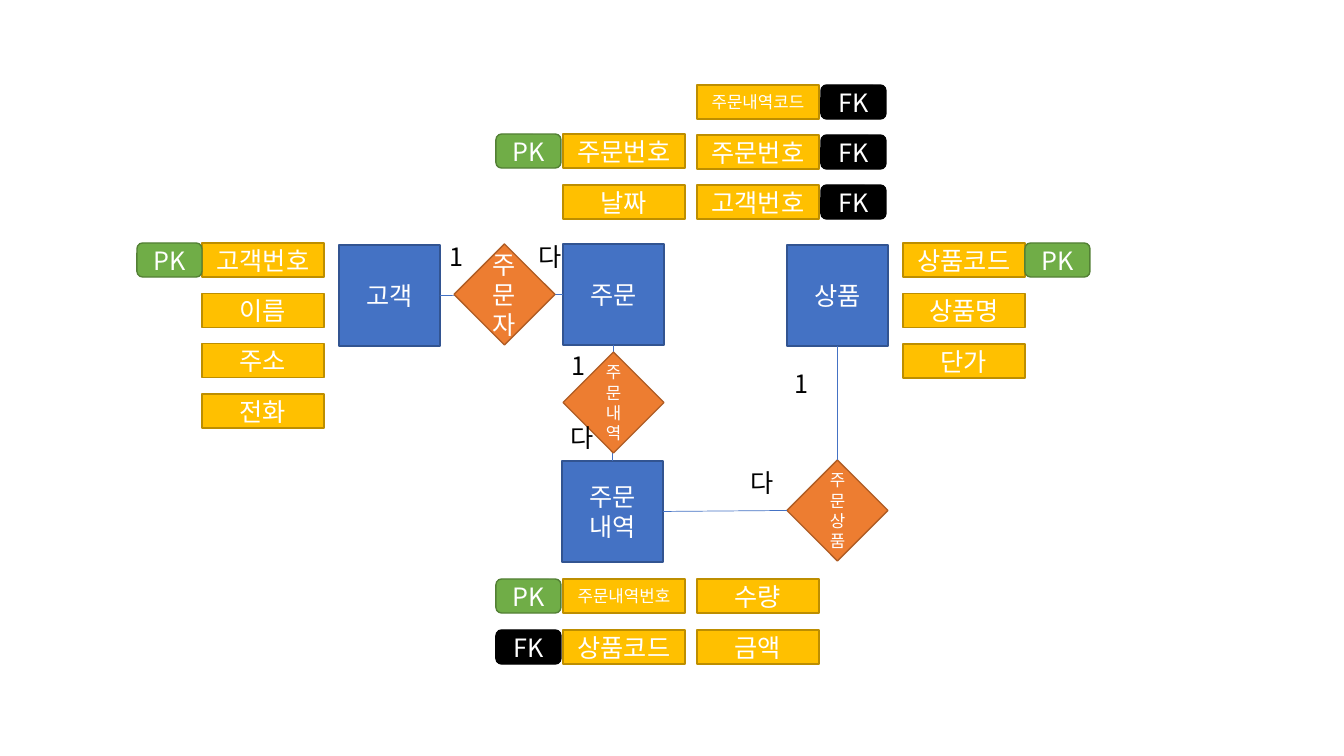
from dataclasses import dataclass

import lxml.etree
import pptx
import pptx.dml.color
import pptx.enum.shapes
import pptx.enum.text
import pptx.oxml.ns
import pptx.util

PX = 914400 / 100.8
SHAPE = pptx.enum.shapes.MSO_SHAPE
CENTER = pptx.enum.text.PP_ALIGN.CENTER
LEFT = pptx.enum.text.PP_ALIGN.LEFT
MIDDLE = pptx.enum.text.MSO_ANCHOR.MIDDLE
TOP_SITE, LEFT_SITE, BOTTOM_SITE, RIGHT_SITE = range(4)
SIDE, ROW, ATTRIBUTE_WIDTH, KEY_WIDTH = 101, 34, 122, 65


@dataclass(frozen=True)
class Theme:
    """Fonts, sizes and fill/outline colours of the diagram."""
    font: str = "Noto Sans CJK KR"
    size: int = 18
    small: int = 12
    light: str = "FFFFFF"
    dark: str = "000000"
    connector: str = "4472C4"
    entity: tuple = ("4472C4", "325491")
    relation: tuple = ("ED7D31", "AF5C24")
    attribute: tuple = ("FFC000", "BD8E00")
    PK: tuple = ("70AD47", "538035")
    FK: tuple = ("000000", "000000")


THEME = Theme()


def emu(*pixels):
    """Turn pixels into a list of EMU lengths."""
    return [pptx.util.Emu(round(value * PX)) for value in pixels]


def rgb(code):
    """Return the colour object for a hex code."""
    return pptx.dml.color.RGBColor.from_string(code)


def write(shape, text, size, color, align):
    """Put one formatted paragraph into a shape."""
    shape.text_frame.word_wrap = True
    paragraph = shape.text_frame.paragraphs[0]
    paragraph.text = text
    paragraph.alignment = align
    font = paragraph.font
    font.size = pptx.util.Pt(size)
    font.color.rgb = rgb(color)
    font.name = THEME.font
    properties = paragraph._p.pPr.find(pptx.oxml.ns.qn("a:defRPr"))
    lxml.etree.SubElement(properties, pptx.oxml.ns.qn("a:ea"), typeface=THEME.font)


def node(slide, kind, box, text, colors, size=THEME.size):
    """Draw a filled shape with centred text."""
    shape = slide.shapes.add_shape(kind, *emu(*box))
    shape.shadow.inherit = False
    shape.fill.solid()
    shape.fill.fore_color.rgb = rgb(colors[0])
    shape.line.color.rgb = rgb(colors[1])
    shape.line.width = pptx.util.Pt(1)
    shape.text_frame.vertical_anchor = MIDDLE
    write(shape, text, size, THEME.light, CENTER)
    return shape


def entity(slide, left, top, name):
    """Draw an entity square."""
    return node(slide, SHAPE.RECTANGLE, (left, top, SIDE, SIDE), name, THEME.entity)


def relation(slide, left, top, name, size=THEME.small):
    """Draw a relationship diamond."""
    return node(slide, SHAPE.DIAMOND, (left, top, SIDE, SIDE), name, THEME.relation, size)


def link(slide, start, start_site, end, end_site):
    """Join two shapes with a thin line."""
    line = slide.shapes.add_connector(pptx.enum.shapes.MSO_CONNECTOR.STRAIGHT, 0, 0, 0, 0)
    line.begin_connect(start, start_site)
    line.end_connect(end, end_site)
    line.line.color.rgb = rgb(THEME.connector)
    line.line.width = pptx.util.Pt(0.5)
    lxml.etree.SubElement(line._element.spPr, pptx.oxml.ns.qn("a:effectLst"))


def cardinality(slide, left, top, text):
    """Write a cardinality mark beside a link."""
    label = slide.shapes.add_textbox(*emu(left, top, 45, 40))
    write(label, text, THEME.size, THEME.dark, LEFT)


def attributes(slide, box, rows, key_on_left=True, key_gap=2):
    """Spread attribute rows over a box, with key badges on one side."""
    left, top, width, height = box
    pitch = (height - ROW) / (len(rows) - 1)
    key_left = left - key_gap - KEY_WIDTH if key_on_left else left + width + key_gap
    for index, (name, key) in enumerate(rows):
        y = top + index * pitch
        size = THEME.small if len(name) > 4 else THEME.size
        node(slide, SHAPE.RECTANGLE, (left, y, width, ROW), name, THEME.attribute, size)
        if key:
            node(slide, SHAPE.ROUNDED_RECTANGLE, (key_left, y, KEY_WIDTH, ROW),
                 key, getattr(THEME, key))


def relationships(slide, box):
    """Draw the entities, their relationships and cardinalities."""
    left, top, width, height = box
    right, bottom, middle = left + width - SIDE, top + height - SIDE, left + 224
    customer = entity(slide, left, top + 1, "고객")
    order = entity(slide, middle, top, "주문")
    product = entity(slide, right, top + 1, "상품")
    details = entity(slide, middle - 1, bottom, "주문 내역")
    link(slide, customer, RIGHT_SITE, order, LEFT_SITE)
    link(slide, order, BOTTOM_SITE, details, TOP_SITE)
    relation(slide, left + 115, top, "주문자", THEME.size)
    relation(slide, middle, top + 108, "주문내역")
    ordered = relation(slide, right, bottom - 1, "주문상품")
    link(slide, product, BOTTOM_SITE, ordered, TOP_SITE)
    link(slide, ordered, LEFT_SITE, details, RIGHT_SITE)
    for x, y, mark in ((101, -8, "1"), (190, -8, "다"), (223, 101, "1"),
                       (222, 173, "다"), (402, 218, "다"), (446, 119, "1")):
        cardinality(slide, left + x, top + y, mark)


def diagram(slide):
    """Lay out the order database diagram."""
    relationships(slide, (339, 244, 549, 318))
    attributes(slide, (202, 243, ATTRIBUTE_WIDTH, 185),
               [("고객번호", "PK"), ("이름", None), ("주소", None), ("전화", None)], key_gap=0)
    attributes(slide, (903, 243, ATTRIBUTE_WIDTH, 135),
               [("상품코드", "PK"), ("상품명", None), ("단가", None)],
               key_on_left=False, key_gap=0)
    attributes(slide, (563, 134, ATTRIBUTE_WIDTH, 85), [("주문번호", "PK"), ("날짜", None)])
    attributes(slide, (697, 85, ATTRIBUTE_WIDTH, 134),
               [("주문내역코드", "FK"), ("주문번호", "FK"), ("고객번호", "FK")],
               key_on_left=False)
    attributes(slide, (563, 579, ATTRIBUTE_WIDTH, 85),
               [("주문내역번호", "PK"), ("상품코드", "FK")])
    attributes(slide, (697, 579, ATTRIBUTE_WIDTH, 85), [("수량", None), ("금액", None)])


deck = pptx.Presentation()
deck.slide_width, deck.slide_height = emu(1344, 756)
diagram(deck.slides.add_slide(deck.slide_layouts[6]))
deck.save("out.pptx")
